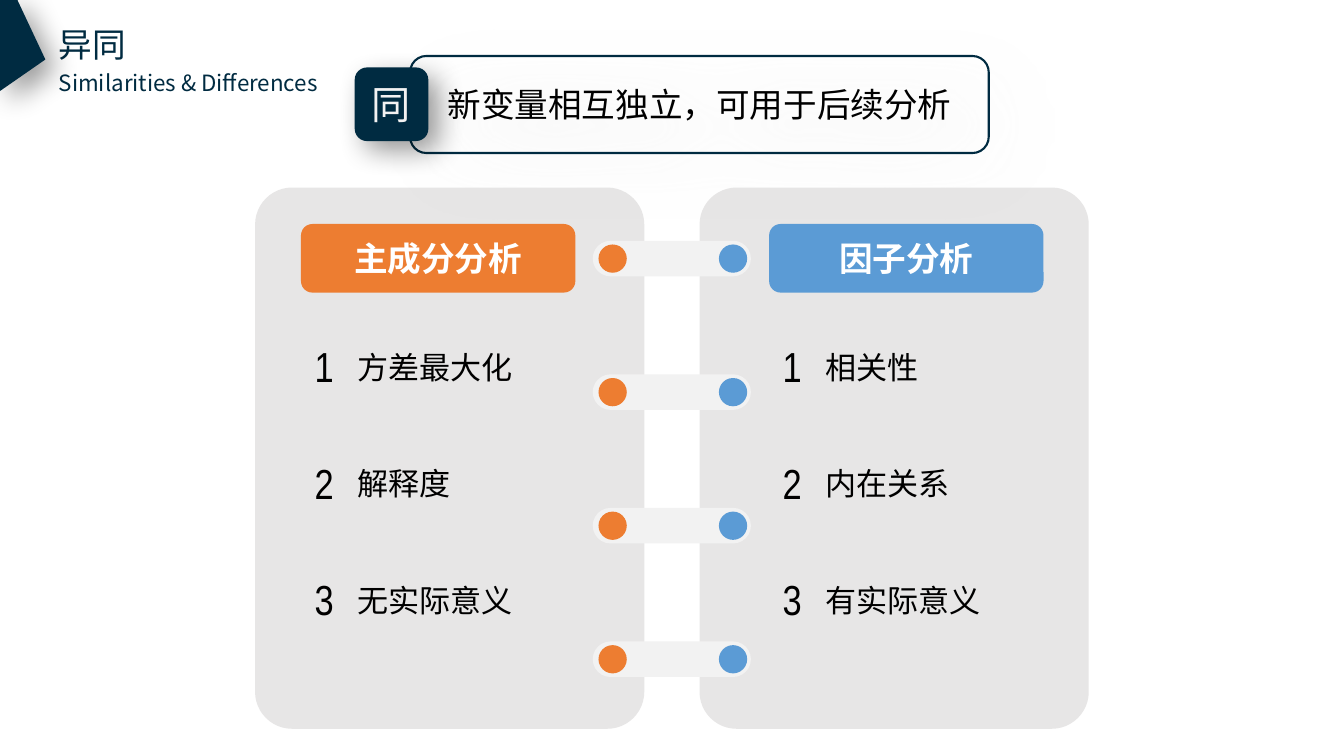
from dataclasses import dataclass

from lxml.etree import SubElement
from pptx import Presentation
from pptx.dml.color import RGBColor
from pptx.enum.shapes import MSO_SHAPE
from pptx.enum.text import MSO_ANCHOR, PP_ALIGN
from pptx.oxml.ns import qn
from pptx.util import Pt

COLORS = {
    "navy": "002B41", "orange": "ED7D31", "blue": "5B9BD5", "panel": "E7E6E6",
    "link": "F2F2F2", "white": "FFFFFF", "black": "000000", "gray": "808080",
}
CJK_FONT = "Noto Sans CJK SC"
NUMBER_FONT = "Arial Narrow"


@dataclass
class Box:
    left: float
    top: float
    width: float
    height: float


@dataclass
class Label:
    text: str
    size: float
    color: str = "black"
    font: str = CJK_FONT
    bold: bool = False
    align: PP_ALIGN = PP_ALIGN.CENTER
    anchor: MSO_ANCHOR = MSO_ANCHOR.MIDDLE
    wrap: bool = True
    line_spacing: float = 1.0


@dataclass
class Shadow:
    color: str
    alpha: int
    blur: float
    distance: float


@dataclass
class Column:
    title: str
    color: str
    panel_left: float
    content_left: float
    dot_left: float
    items: tuple[str, ...]


COLUMNS = (
    Column("主成分分析", "orange", 182.2, 215, 427.5, ("方差最大化", "解释度", "无实际意义")),
    Column("因子分析", "blue", 499.7, 549.4, 513.5, ("相关性", "内在关系", "有实际意义")),
)
LINK_TOPS = [172 + 95.4 * row for row in range(4)]
ITEM_TOP, ITEM_PITCH = 242, 83.2
DARK_SHADOW = Shadow("black", 40, 20, 10)
SOFT_SHADOW = Shadow("gray", 20, 50, 20)


def rgb(name: str) -> RGBColor:
    return RGBColor.from_string(COLORS[name])


def write(shape, label: Label) -> None:
    frame = shape.text_frame
    frame.word_wrap = label.wrap
    frame.vertical_anchor = label.anchor
    paragraph = frame.paragraphs[0]
    paragraph.alignment = label.align
    paragraph.line_spacing = label.line_spacing
    run = paragraph.add_run()
    run.text = label.text
    run.font.size = Pt(label.size)
    run.font.name = label.font
    run.font.bold = label.bold
    run.font.color.rgb = rgb(label.color)
    SubElement(run.font._element, qn("a:ea"), typeface=label.font)


def add_shadow(shape, shadow: Shadow) -> None:
    effects = shape._element.spPr.find(qn("a:effectLst"))
    outer = SubElement(
        effects, qn("a:outerShdw"), blurRad=str(Pt(shadow.blur)),
        dist=str(Pt(shadow.distance)), dir=str(45 * 60000),
        algn="tl", rotWithShape="0")
    color = SubElement(outer, qn("a:srgbClr"), val=COLORS[shadow.color])
    SubElement(color, qn("a:alpha"), val=str(shadow.alpha * 1000))


def style(shape, fill: str | None, line: str | None = None,
          shadow: Shadow | None = None) -> None:
    if fill:
        shape.fill.solid()
        shape.fill.fore_color.rgb = rgb(fill)
    else:
        shape.fill.background()
    if line:
        shape.line.color.rgb = rgb(line)
        shape.line.width = Pt(1.5)
    else:
        shape.line.fill.background()
    shape.shadow.inherit = False
    if shadow:
        add_shadow(shape, shadow)


def add_shape(slide, kind: MSO_SHAPE, box: Box, fill: str | None,
              line: str | None = None, shadow: Shadow | None = None,
              radius: float | None = None, label: Label | None = None) -> None:
    shape = slide.shapes.add_shape(
        kind, Pt(box.left), Pt(box.top), Pt(box.width), Pt(box.height))
    if radius is not None:
        shape.adjustments[0] = radius
    style(shape, fill, line, shadow)
    if label:
        write(shape, label)


def add_text(slide, box: Box, label: Label) -> None:
    shape = slide.shapes.add_textbox(
        Pt(box.left), Pt(box.top), Pt(box.width), Pt(box.height))
    write(shape, label)


def add_column(slide, column: Column) -> None:
    for top in LINK_TOPS:
        add_shape(slide, MSO_SHAPE.OVAL,
                  Box(column.dot_left, top + 2.6, 20.2, 20.2), column.color)
    add_shape(slide, MSO_SHAPE.ROUNDED_RECTANGLE,
              Box(column.content_left, 160, 196, 49), column.color,
              label=Label(column.title, 24, "white", bold=True, wrap=False))
    for index, item in enumerate(column.items):
        top = ITEM_TOP + ITEM_PITCH * index
        add_text(slide, Box(column.content_left, top, 33, 39),
                 Label(str(index + 1), 30, font=NUMBER_FONT, wrap=False))
        add_text(slide, Box(column.content_left + 33, top + 0.5, 171.4, 38),
                 Label(item, 22.2, align=PP_ALIGN.LEFT,
                       anchor=MSO_ANCHOR.TOP, line_spacing=1.1))


def main() -> None:
    presentation = Presentation()
    presentation.slide_width, presentation.slide_height = Pt(960), Pt(540)
    slide = presentation.slides.add_slide(presentation.slide_layouts[6])
    rounded = MSO_SHAPE.ROUNDED_RECTANGLE

    # Panels and the links between them
    for column in COLUMNS:
        add_shape(slide, rounded, Box(column.panel_left, 134, 278, 386.6),
                  "panel", radius=0.095)
    for top in LINK_TOPS:
        add_shape(slide, rounded, Box(423.4, top, 113, 25.4), "link", radius=0.5)

    # Differences
    for column in COLUMNS:
        add_column(slide, column)

    # Similarity
    add_shape(slide, rounded, Box(293, 40, 413.3, 69.3), None, "navy", SOFT_SHADOW,
              label=Label("新变量相互独立，可用于后续分析", 24))
    add_shape(slide, rounded, Box(253.4, 48.2, 52.6, 52.6), "navy", shadow=DARK_SHADOW,
              label=Label("同", 28, "link"))

    # Slide title
    add_text(slide, Box(35, 13.7, 63.4, 36),
             Label("异同", 24, "navy", align=PP_ALIGN.LEFT,
                   anchor=MSO_ANCHOR.TOP, wrap=False))
    add_text(slide, Box(35, 40.3, 244.8, 30.2),
             Label("Similarities & Differences", 16, "navy", align=PP_ALIGN.LEFT,
                   anchor=MSO_ANCHOR.TOP, line_spacing=1.3))

    # Corner ornament
    builder = slide.shapes.build_freeform(Pt(12.2), Pt(-0.5))
    builder.add_line_segments(
        [(Pt(x), Pt(y)) for x, y in ((0, -0.5), (0, 65), (32.4, 42.5))], close=True)
    style(builder.convert_to_shape(), "navy", shadow=DARK_SHADOW)

    presentation.save("out.pptx")


if __name__ == "__main__":
    main()
